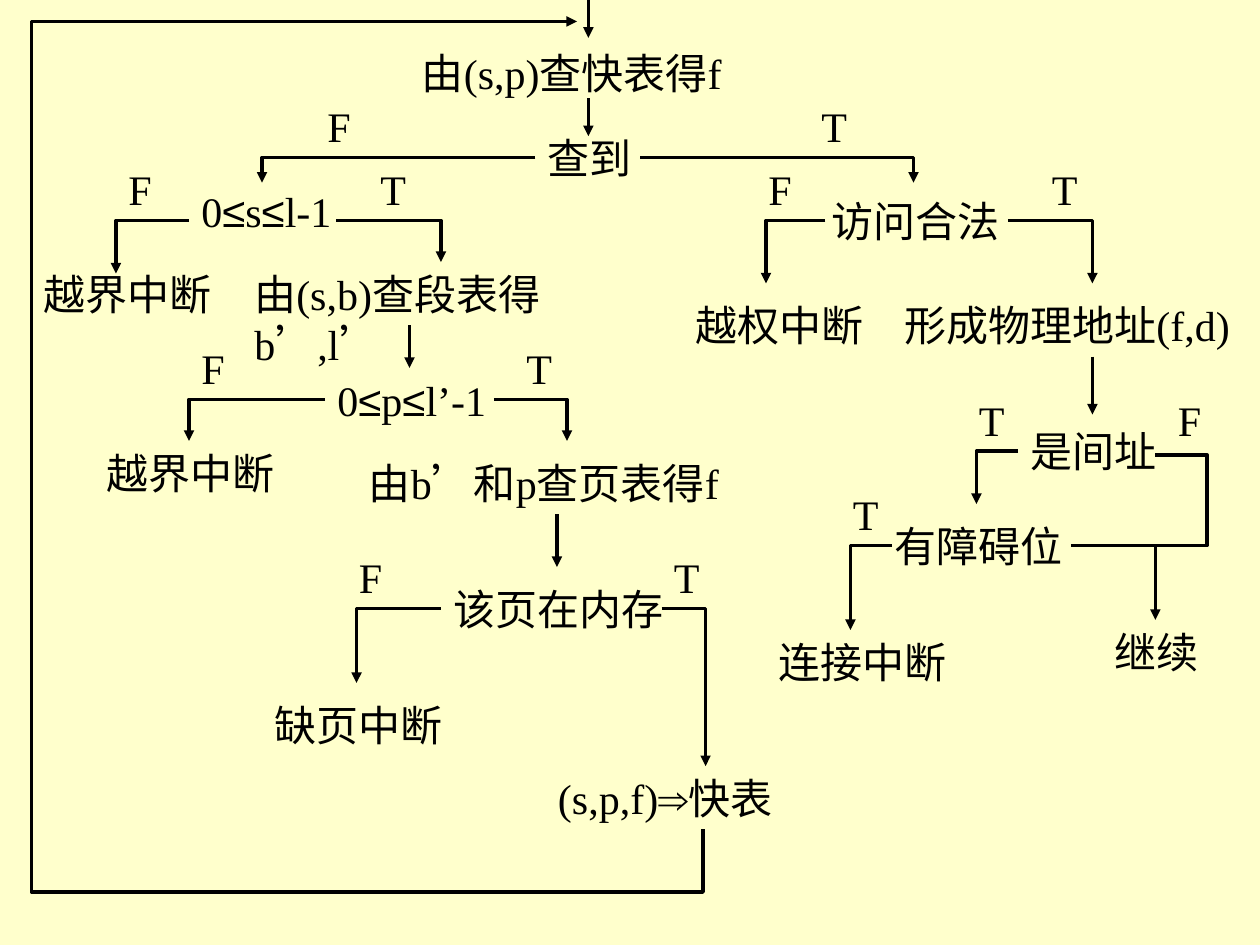
from lxml import etree
from pptx import Presentation
from pptx.dml.color import RGBColor
from pptx.enum.shapes import MSO_CONNECTOR
from pptx.enum.text import MSO_AUTO_SIZE
from pptx.oxml.ns import qn
from pptx.util import Inches, Pt

STRAIGHT = MSO_CONNECTOR.STRAIGHT
GROW = MSO_AUTO_SIZE.SHAPE_TO_FIT_TEXT
COLORS = {"background": "FFFFCC", "ink": "000000"}
SERIF, SANS = "Times New Roman", "Arial"
SYMBOLS = "≤⇒"  # set in the sans font

# Steps and tests: text, left, top, width, height
STEPS = [
    ("由(s,p)查快表得f", 3.25, 0.33, 2.83, 0.5),
    ("查到", 4.25, 1, 1.08, 0.5),
    # Right side: found in the fast table
    ("访问合法", 6.5, 1.5, 1.67, 0.5),
    ("越权中断", 5.42, 2.33, 2, 0.5),
    ("形成物理地址(f,d)", 7.08, 2.33, 3, 0.5),
    ("是间址", 8.08, 3.33, 1.33, 0.5),
    ("有障碍位", 7, 4.08, 1.58, 0.5),
    ("连接中断", 6.08, 5, 1.58, 0.5),
    ("继续", 8.75, 4.92, 0.92, 0.5),
    # Left side: segment table, then page table
    ("0≤s≤l-1", 1.5, 1.42, 1.5, 0.5),
    ("越界中断", 0.25, 2.08, 1.67, 0.5),
    ("由(s,b)查段表得b’,l’", 1.92, 2.08, 3.17, 0.9),
    ("0≤p≤l’-1", 2.58, 2.92, 1.5, 0.9),
    ("越界中断", 0.75, 3.5, 1.58, 0.5),
    ("由b’和p查页表得f", 2.83, 3.58, 3.17, 0.9),
    ("该页在内存", 3.5, 4.58, 1.92, 0.5),
    ("缺页中断", 2.08, 5.5, 1.75, 0.5),
    ("(s,p,f)⇒快表", 4.33, 6.08, 2.25, 0.5),
]

# Branch labels: text, left, top
LABELS = [
    ("F", 2.5, 0.75), ("T", 6.42, 0.75),
    ("F", 0.92, 1.25), ("T", 2.92, 1.25),
    ("F", 6, 1.25), ("T", 8.25, 1.25),
    ("F", 1.5, 2.67), ("T", 4.08, 2.67),
    ("T", 7.67, 3.08), ("F", 9.25, 3.08),
    ("T", 6.67, 3.83),
    ("F", 2.75, 4.33), ("T", 5.25, 4.33),
]

# Arrows straight down: x, top, bottom
DOWN_ARROWS = [
    (4.67, 0, 0.3),
    (4.67, 0.78, 1.08),
    (8.67, 2.83, 3.29),
    (3.25, 2.58, 2.92),
    (4.42, 4.08, 4.5),
]

# Branches go sideways, then down: start x, turn x, y, bottom
BRANCHES = [
    (4.25, 2.08, 1.25, 1.45), (5.08, 7.25, 1.25, 1.45),
    (6.55, 6.08, 1.75, 2.25), (8, 8.67, 1.75, 2.25),
    (1.5, 0.92, 1.75, 2.17), (2.67, 3.5, 1.75, 2.08),
    (2.58, 1.5, 3.17, 3.5), (3.92, 4.5, 3.17, 3.5),
    (8.08, 7.75, 3.58, 4),
    (7.08, 6.75, 4.33, 5), (8.5, 9.17, 4.33, 4.92),
    (3.5, 2.83, 4.83, 5.42), (5.25, 5.6, 4.83, 6.08),
]

INDIRECT_NO = [(9.17, 3.61), (9.58, 3.61), (9.58, 4.33), (9.17, 4.33)]
RETRY_LOOP = [(5.58, 6.58), (5.58, 7.08), (0.25, 7.08), (0.25, 0.17), (4.58, 0.17)]


def color(name):
    return RGBColor.from_string(COLORS[name])


def split_by_font(text):
    """Cut the text into parts, each symbol on its own."""
    parts = [""]
    for letter in text:
        if letter in SYMBOLS:
            parts += [letter, ""]
        else:
            parts[-1] += letter
    return [part for part in parts if part]


def add_text(page, text, left, top, width=0.5, height=0.5):
    box = page.shapes.add_textbox(
        Inches(left), Inches(top), Inches(width), Inches(height))
    frame = box.text_frame
    frame.word_wrap = True
    frame.auto_size = GROW
    para = frame.paragraphs[0]
    for part in split_by_font(text):
        span = para.add_run()
        span.text = part
        span.font.name = SANS if part in SYMBOLS else SERIF
        span.font.size = Pt(24)
        span.font.color.rgb = color("ink")


def style_line(shape, arrow=True):
    shape.line.color.rgb = color("ink")
    shape.line.width = Pt(2)
    if arrow:
        outline = shape.element.spPr.find(qn("a:ln"))
        etree.SubElement(outline, qn("a:tailEnd"), type="triangle")


def add_down_arrow(page, x, top, bottom):
    arrow = page.shapes.add_connector(
        STRAIGHT, Inches(x), Inches(top), Inches(x), Inches(bottom))
    style_line(arrow)
    etree.SubElement(arrow.element.spPr, qn("a:effectLst"))


def add_route(page, points, arrow=True):
    start, *rest = [(Inches(x), Inches(y)) for x, y in points]
    builder = page.shapes.build_freeform(*start)
    builder.add_line_segments(rest, close=False)
    route = builder.convert_to_shape()
    route.fill.background()
    style_line(route, arrow)
    route.shadow.inherit = False


def main():
    deck = Presentation()
    deck.slide_width, deck.slide_height = Inches(10), Inches(7.5)
    page = deck.slides.add_slide(deck.slide_layouts[6])
    page.background.fill.solid()
    page.background.fill.fore_color.rgb = color("background")

    # Text
    for item in STEPS + LABELS:
        add_text(page, *item)

    # Lines and arrows
    for item in DOWN_ARROWS:
        add_down_arrow(page, *item)
    for start, turn, y, bottom in BRANCHES:
        add_route(page, [(start, y), (turn, y), (turn, bottom)])
    add_route(page, INDIRECT_NO, arrow=False)
    add_route(page, RETRY_LOOP)

    deck.save("out.pptx")


if __name__ == "__main__":
    main()
